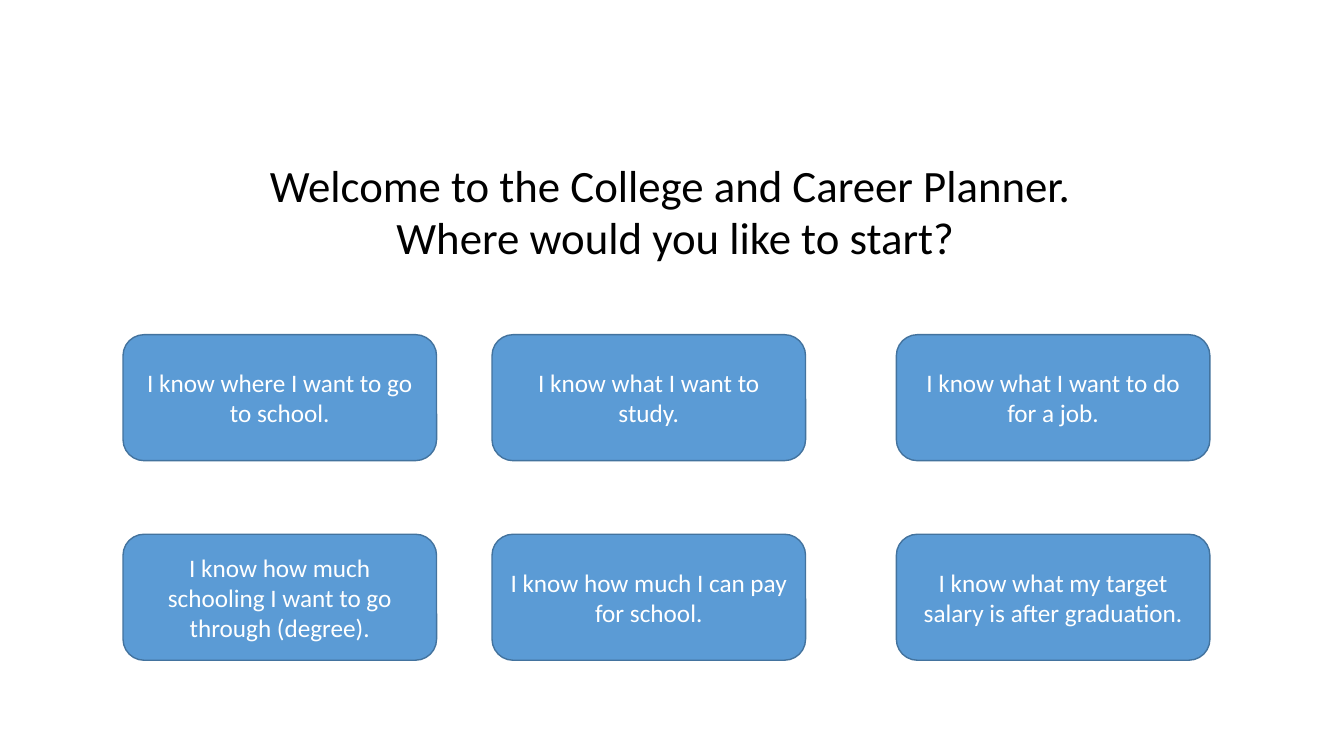
"""Build the welcome slide of the College and Career Planner."""
from dataclasses import dataclass
from itertools import product

from pptx import Presentation
from pptx import util as u
from pptx.dml.color import RGBColor
from pptx.enum import shapes, text


@dataclass(frozen=True)
class Theme:
    font: str = "Calibri"
    heading_size: int = 32
    choice_size: int = 18
    ink: str = "000000"
    choice_ink: str = "FFFFFF"
    choice_fill: str = "5B9BD5"
    choice_edge: str = "43739E"


@dataclass(frozen=True)
class Choice:
    label: str
    left: float
    top: float
    width: float = 3.11
    height: float = 1.25


THEME = Theme()
COLUMNS = (1.22, 4.88, 8.89)
ROWS = (3.32, 5.3)
LABELS = (
    "I know where I want to go to school.",
    "I know what I want to study.",
    "I know what I want to do for a job.",
    "I know how much schooling I want to go through (degree).",
    "I know how much I can pay for school.",
    "I know what my target salary is after graduation.",
)


def apply_format(target, values: dict) -> None:
    for attribute, value in values.items():
        setattr(target, attribute, value)


def write(shape, wording: str, size: int, color: str, anchor, spacing: float = 1.0) -> None:
    frame = shape.text_frame
    frame.text = wording
    apply_format(frame, {
        "word_wrap": True,
        "auto_size": text.MSO_AUTO_SIZE.NONE,
        "vertical_anchor": anchor,
    })
    paragraph = frame.paragraphs[0]
    apply_format(paragraph, {"alignment": text.PP_ALIGN.CENTER, "line_spacing": spacing})
    for run in paragraph.runs:
        apply_format(run.font, {"name": THEME.font, "size": u.Pt(size)})
        run.font.color.rgb = RGBColor.from_string(color)


def draw_choice(slide, choice: Choice) -> None:
    button = slide.shapes.add_shape(
        shapes.MSO_SHAPE.ROUNDED_RECTANGLE,
        u.Inches(choice.left), u.Inches(choice.top),
        u.Inches(choice.width), u.Inches(choice.height),
    )
    button.shadow.inherit = False
    button.fill.solid()
    button.fill.fore_color.rgb = RGBColor.from_string(THEME.choice_fill)
    button.line.color.rgb = RGBColor.from_string(THEME.choice_edge)
    button.line.width = u.Pt(1)
    write(button, choice.label, THEME.choice_size, THEME.choice_ink, text.MSO_ANCHOR.MIDDLE)


def main() -> None:
    deck = Presentation()
    apply_format(deck, {"slide_width": u.Inches(13.33), "slide_height": u.Inches(7.5)})
    slide = deck.slides.add_slide(deck.slide_layouts[0])
    subtitle = slide.placeholders[1].element
    subtitle.getparent().remove(subtitle)

    welcome = slide.shapes.title
    apply_format(welcome, {
        "left": u.Inches(1.7), "top": u.Inches(1.45),
        "width": u.Inches(10), "height": u.Inches(1.23),
    })
    write(
        welcome,
        "Welcome to the College and Career Planner. \vWhere would you like to start?",
        THEME.heading_size, THEME.ink, text.MSO_ANCHOR.BOTTOM, 0.97,
    )

    for label, (top, left) in zip(LABELS, product(ROWS, COLUMNS)):
        draw_choice(slide, Choice(label, left, top))
    deck.save("out.pptx")


main()
